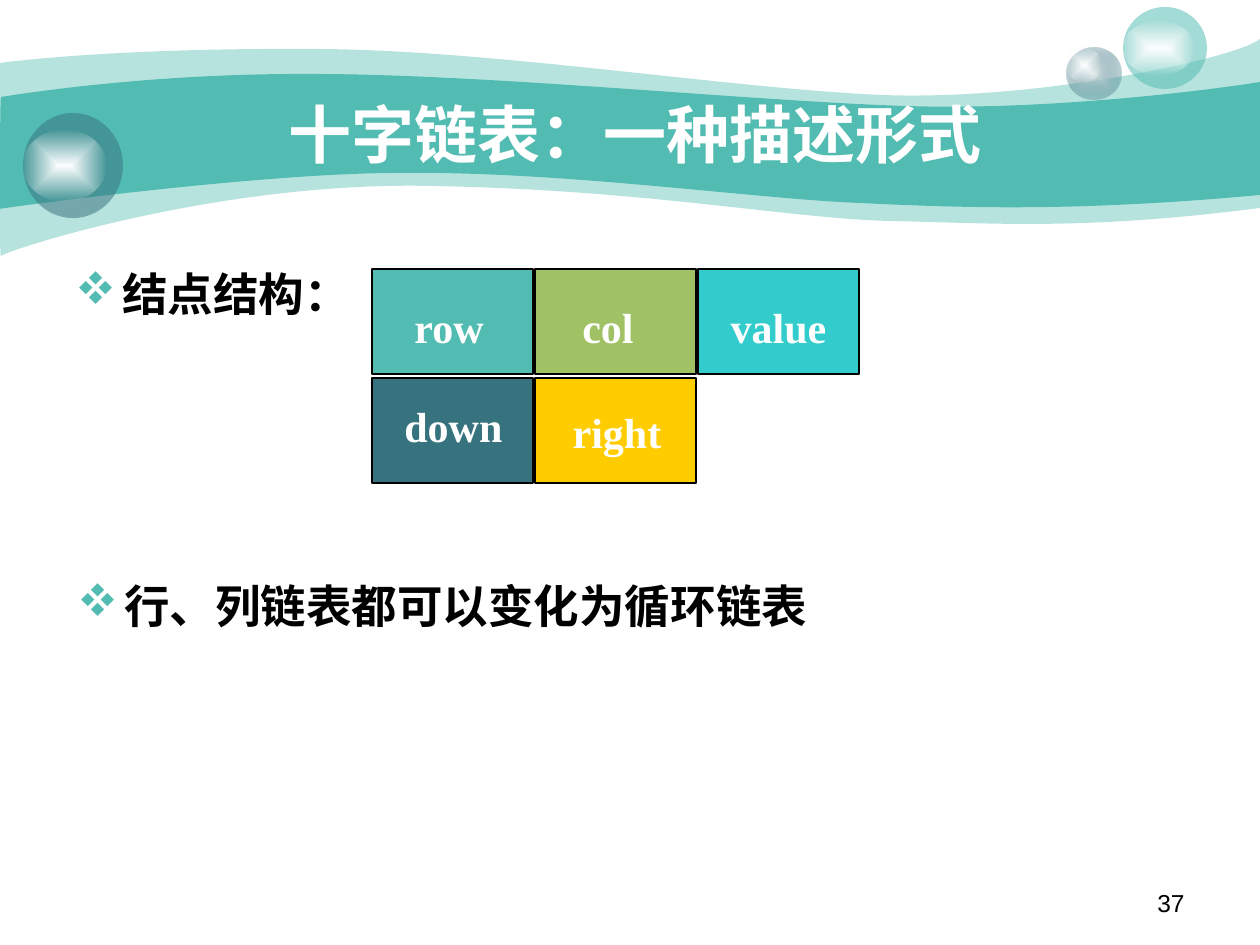
"""Builds the slide on the node structure of the orthogonal linked list."""
from dataclasses import dataclass

from lxml.etree import SubElement
from pptx import Presentation
from pptx.dml.color import RGBColor
from pptx.enum.shapes import MSO_SHAPE
from pptx.enum.text import MSO_ANCHOR, PP_ALIGN
from pptx.oxml.ns import qn
from pptx.util import Pt

EMU_PER_PX = 914400 / 126


def px(length):
    return round(length * EMU_PER_PX)


@dataclass(frozen=True)
class Theme:
    teal: str = "52BCB2"
    slate: str = "37737F"
    mist: str = "CCDBDE"
    green: str = "A0C264"
    gold: str = "FFCC00"
    cyan: str = "33CCCC"
    white: str = "FFFFFF"
    black: str = "000000"
    serif: str = "Times New Roman"
    sans: str = "Arial"
    symbols: str = "Wingdings"
    title_size: int = 36
    bullet_size: int = 26
    cell_size: int = 24
    number_size: int = 14


class SlidePainter:
    def __init__(self, slide, theme):
        self.slide = slide
        self.theme = theme

    def set_color(self, color_format, element, color, alpha):
        color_format.rgb = RGBColor.from_string(color)
        if alpha < 100:
            srgb = element.find(qn("a:srgbClr"))
            SubElement(srgb, qn("a:alpha"), val=str(alpha * 1000))

    def paint(self, shape, color, alpha=100, outline=None):
        shape.shadow.inherit = False
        shape.fill.solid()
        solid = shape._element.spPr.find(qn("a:solidFill"))
        self.set_color(shape.fill.fore_color, solid, color, alpha)
        if outline:
            shape.line.color.rgb = RGBColor.from_string(outline)
            shape.line.width = Pt(1)
        else:
            shape.line.fill.background()

    def wave(self, start, segments, color, alpha=100):
        points = [
            (px(x), px(y))
            for segment in segments
            for x, y in zip(segment[::2], segment[1::2])
        ]
        builder = self.slide.shapes.build_freeform(*map(px, start), scale=1.0)
        builder.add_line_segments(points, close=True)
        shape = builder.convert_to_shape()
        lines = iter(list(shape._element.iter(qn("a:lnTo"))))
        for segment in segments:
            first = next(lines)
            if len(segment) == 6:
                first.tag = qn("a:cubicBezTo")
                for _ in range(2):
                    line = next(lines)
                    first.append(line[0])
                    line.getparent().remove(line)
        self.paint(shape, color, alpha)

    def shape(self, kind, box, color, alpha=100, outline=None):
        shape = self.slide.shapes.add_shape(kind, *map(px, box))
        self.paint(shape, color, alpha, outline)
        return shape

    def glow(self, box, center, edge, edge_alpha):
        shape = self.shape(MSO_SHAPE.OVAL, box, center)
        shape.fill.gradient()
        gradient = shape._element.spPr.find(qn("a:gradFill"))
        elements = gradient.findall(qn("a:gsLst") + "/" + qn("a:gs"))
        colors = ((center, 100), (edge, edge_alpha))
        for stop, element, (color, alpha) in zip(shape.fill.gradient_stops, elements, colors):
            self.set_color(stop.color, element, color, alpha)
        linear = gradient.find(qn("a:lin"))
        radial = SubElement(gradient, qn("a:path"), path="rect")
        SubElement(radial, qn("a:fillToRect"), l="50000", t="50000", r="50000", b="50000")
        gradient.replace(linear, radial)

    def text(self, box, content, size, color, font=None, bold=True,
             align=PP_ALIGN.LEFT, anchor=MSO_ANCHOR.TOP):
        frame = self.slide.shapes.add_textbox(*map(px, box)).text_frame
        frame.word_wrap = True
        frame.vertical_anchor = anchor
        paragraph = frame.paragraphs[0]
        paragraph.alignment = align
        run = paragraph.add_run()
        run.text = content
        run.font.name = font or self.theme.serif
        run.font.size = Pt(size)
        run.font.bold = bold
        run.font.color.rgb = RGBColor.from_string(color)
        return paragraph

    def bullet(self, box, content):
        theme = self.theme
        paragraph = self.text(box, content, theme.bullet_size, theme.black)
        properties = paragraph._p.get_or_add_pPr()
        properties.set("marL", str(px(47)))
        properties.set("indent", str(px(-47)))
        bullet_color = SubElement(properties, qn("a:buClr"))
        SubElement(bullet_color, qn("a:srgbClr"), val=theme.teal)
        SubElement(properties, qn("a:buFont"), typeface=theme.symbols, charset="2")
        SubElement(properties, qn("a:buChar"), char="v")

    def field(self, column, row, color, label, label_box, align=PP_ALIGN.CENTER):
        theme = self.theme
        box = (372 + 163 * column, 269 + 109 * row, 161, 105)
        self.shape(MSO_SHAPE.RECTANGLE, box, color, outline=theme.black)
        self.text(label_box, label, theme.cell_size, theme.white, align=align)


def main():
    theme = Theme()
    presentation = Presentation()
    presentation.slide_width, presentation.slide_height = px(1260), px(945)
    slide = presentation.slides.add_slide(presentation.slide_layouts[6])
    painter = SlidePainter(slide, theme)

    painter.wave((0, 63), [
        (30, 59, 135, 48, 311, 49), (486, 49, 725, 88, 881, 95),
        (1036, 101, 1235, 59, 1260, 39), (1260, 208),
        (1081, 231, 992, 223, 888, 221), (784, 218, 649, 190, 432, 186),
        (217, 181, 5, 251, 1, 256), (-1, 262, 0, 95, 0, 63),
    ], theme.teal, 41)
    painter.wave((1, 97), [
        (3, 97, 139, 73, 312, 74), (486, 74, 750, 101, 905, 106),
        (1060, 111, 1230, 87, 1260, 82), (1260, 195),
        (1075, 212, 964, 208, 859, 203), (755, 199, 563, 171, 399, 173),
        (256, 173, -3, 209, -1, 209), (0, 209, 0, 97, 1, 97),
    ], theme.teal)

    painter.glow((1067, 48, 54, 51), theme.mist, theme.slate, 31)
    painter.glow((1067, 48, 35, 34), theme.white, theme.white, 0)
    for ball, highlight, color in (
        ((1123, 7, 84, 82), (1123, 21, 71, 54), theme.teal),
        ((23, 113, 100, 105), (23, 130, 83, 71), theme.slate),
    ):
        painter.shape(MSO_SHAPE.OVAL, ball, color, 53)
        painter.glow(highlight, theme.white, theme.white, 0)

    painter.text((903, 882, 294, 44), "37", theme.number_size, theme.black,
                 font=theme.sans, bold=False, align=PP_ALIGN.RIGHT)
    painter.text((126, 94, 1018, 78), "十字链表：一种描述形式", theme.title_size,
                 theme.white, align=PP_ALIGN.CENTER, anchor=MSO_ANCHOR.MIDDLE)
    painter.bullet((63, 260, 1134, 602), "结点结构：")
    painter.field(0, 0, theme.teal, "row", (382, 295, 134, 63))
    painter.field(1, 0, theme.green, "col", (541, 295, 134, 63))
    painter.field(0, 1, theme.slate, "down", (392, 394, 149, 63), PP_ALIGN.LEFT)
    painter.field(1, 1, theme.gold, "right", (550, 400, 134, 63))
    painter.field(2, 0, theme.cyan, "value", (709, 295, 139, 63))
    painter.bullet((65, 572, 1071, 79), "行、列链表都可以变化为循环链表")

    presentation.save("out.pptx")


if __name__ == "__main__":
    main()
